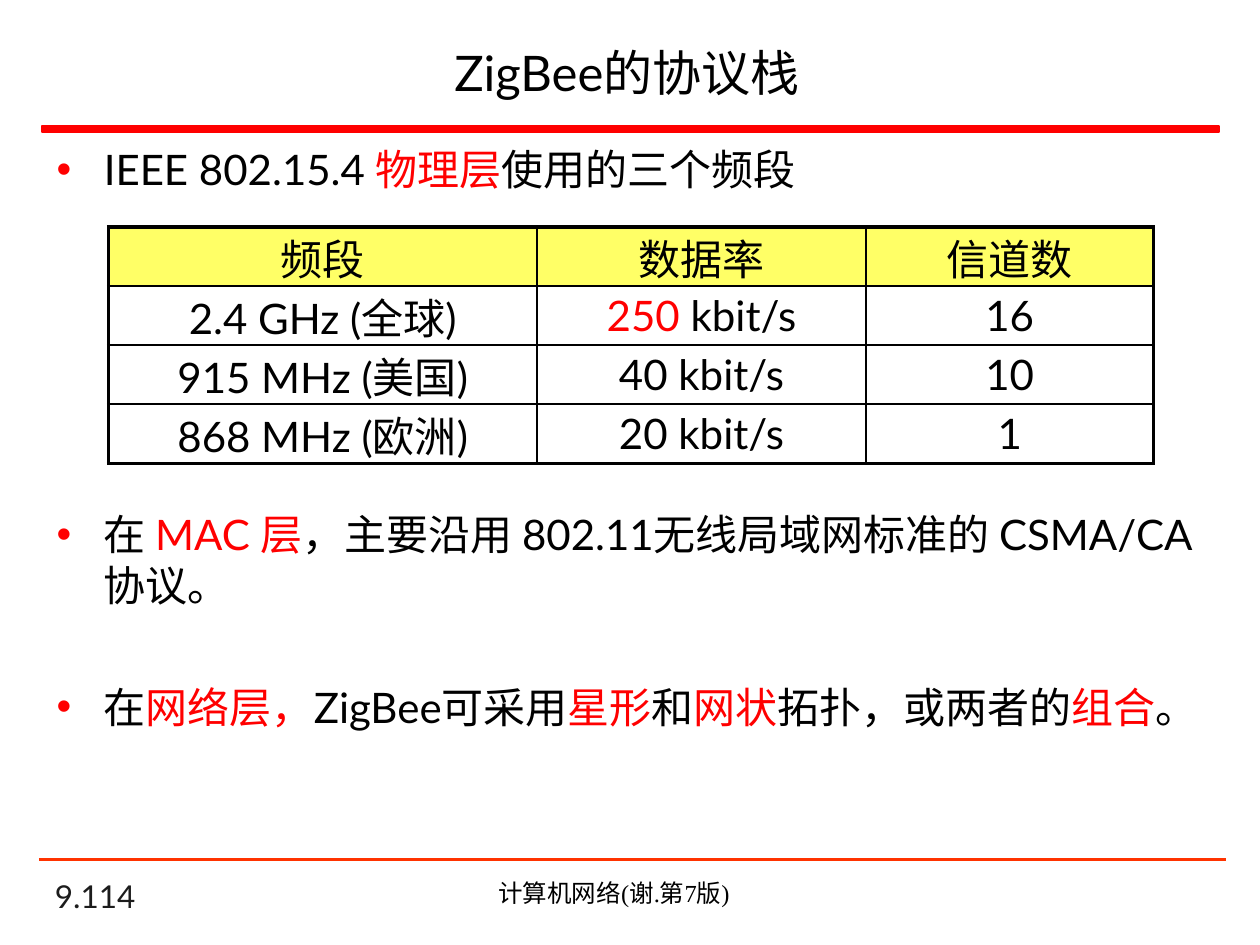
"""Build the slide on the ZigBee protocol stack."""
from dataclasses import dataclass

import pptx
import pptx.dml.color
import pptx.enum.shapes
import pptx.enum.text
import pptx.oxml
import pptx.oxml.ns
import pptx.util
from lxml import etree

Pt = pptx.util.Pt
RGB = pptx.dml.color.RGBColor.from_string
PP_ALIGN = pptx.enum.text.PP_ALIGN
ANCHOR = pptx.enum.text.MSO_ANCHOR
qn = pptx.oxml.ns.qn


@dataclass(frozen=True)
class Theme:
    """Colours, fonts and type sizes of the slide."""
    text: str = "000000"
    accent: str = "FF0000"
    rule: str = "FF3300"
    number: str = "1C1C1C"
    header: str = "FFFF66"
    font: str = "Lato"
    footer_font: str = "Times New Roman"
    title_size: int = 28
    body_size: int = 24
    number_size: int = 18
    footer_size: int = 14
    outer: float = 2.25
    inner: float = 1


THEME = Theme()

BULLETS = [
    (0, ["IEEE 802.15.4 ", ("物理层",), "使用的三个频段"]),
    (180, ["在 ", ("MAC 层",), "，主要沿用 802.11无线局域网标准的 CSMA/CA 协议。"]),
    (40.8, ["在", ("网络层，",), "ZigBee可采用", ("星形",), "和", ("网状",),
            "拓扑，或两者的", ("组合",), "。"]),
]

BANDS = [
    [["频段"], ["数据率"], ["信道数"]],
    [["2.4 GHz (全球)"], [("250 ",), "kbit/s"], ["16"]],
    [["915 MHz (美国)"], ["40 kbit/s"], ["10"]],
    [["868 MHz (欧洲)"], ["20 kbit/s"], ["1"]],
]


def write(p, parts, size=THEME.body_size, font=THEME.font, color=THEME.text,
          align=PP_ALIGN.LEFT, before=0):
    """Write runs into a paragraph; a part given as a tuple takes the accent colour."""
    p.alignment = align
    p.space_before = Pt(before)
    for part in parts:
        r = p.add_run()
        accented = isinstance(part, tuple)
        r.text = part[0] if accented else part
        r.font.size = Pt(size)
        r.font.name = font
        r.font.color.rgb = RGB(THEME.accent if accented else color)


def add_box(s, box, anchor=ANCHOR.TOP):
    """Add a wrapping text box and return its text frame."""
    tf = s.shapes.add_textbox(*map(Pt, box)).text_frame
    tf.word_wrap = True
    tf.vertical_anchor = anchor
    return tf


def add_header(s, box):
    """Place the title with the thick bar under it."""
    x, y, w, h = box
    tf = add_box(s, (x + 4, y, w - 6, h), ANCHOR.MIDDLE)
    write(tf.paragraphs[0], ["ZigBee的协议栈 "], size=THEME.title_size,
          align=PP_ALIGN.CENTER)
    sp = s.shapes.add_shape(pptx.enum.shapes.MSO_SHAPE.RECTANGLE,
                            Pt(x), Pt(y + h + 4.5), Pt(w), Pt(3.6))
    sp.shadow.inherit = False
    sp.fill.solid()
    sp.fill.fore_color.rgb = RGB(THEME.accent)
    sp.line.color.rgb = RGB(THEME.accent)
    sp.line.width = Pt(1)


def add_bullets(s, box):
    """Place the bulleted text."""
    tf = add_box(s, box)
    for i, (before, parts) in enumerate(BULLETS):
        p = tf.add_paragraph() if i else tf.paragraphs[0]
        write(p, parts, before=before)
        props = p._p.get_or_add_pPr()
        props.set("marL", str(Pt(27)))
        props.set("indent", str(-Pt(27)))
        color = etree.SubElement(props, qn("a:buClr"))
        etree.SubElement(color, qn("a:srgbClr"), val=THEME.accent)
        etree.SubElement(props, qn("a:buFont"), typeface="Arial")
        etree.SubElement(props, qn("a:buChar"), char="•")


def set_borders(cell, widths):
    """Draw the left, right, top and bottom borders of a cell before its fill."""
    props = cell._tc.get_or_add_tcPr()
    for i, (tag, width) in enumerate(zip(("a:lnL", "a:lnR", "a:lnT", "a:lnB"), widths)):
        ln = etree.Element(qn(tag), w=str(Pt(width)))
        fill = etree.SubElement(ln, qn("a:solidFill"))
        etree.SubElement(fill, qn("a:srgbClr"), val=THEME.text)
        props.insert(i, ln)


def add_band_table(s, box):
    """Place the table of frequency bands."""
    x, y, w, h = box
    rows, cols = len(BANDS), len(BANDS[0])
    table = s.shapes.add_table(rows, cols, Pt(x), Pt(y), Pt(w), Pt(h)).table
    for column, share in zip(table.columns, (0.41, 0.315, 0.275)):
        column.width = Pt(round(w * share, 1))
    for row in table.rows:
        row.height = Pt(h / rows)
    for i, line in enumerate(BANDS):
        for j, parts in enumerate(line):
            cell = table.cell(i, j)
            cell.margin_left = cell.margin_right = Pt(5)
            cell.margin_top = cell.margin_bottom = 0
            cell.vertical_anchor = ANCHOR.MIDDLE
            if i == 0:
                cell.fill.solid()
                cell.fill.fore_color.rgb = RGB(THEME.header)
            else:
                cell.fill.background()
            edges = (j == 0, j == cols - 1, i == 0, i == rows - 1)
            set_borders(cell, [THEME.outer if edge else THEME.inner for edge in edges])
            write(cell.text_frame.paragraphs[0], parts, align=PP_ALIGN.CENTER)


def add_footer(s, box):
    """Place the thin rule, the page number and the book title."""
    x, y, w, h = box
    rule = s.shapes.add_connector(pptx.enum.shapes.MSO_CONNECTOR.STRAIGHT,
                                  Pt(x), Pt(y), Pt(x + w), Pt(y))
    rule.line.color.rgb = RGB(THEME.rule)
    rule.line.width = Pt(1.5)
    etree.SubElement(rule._element.spPr, qn("a:effectLst"))
    tf = add_box(s, (x + 2, y + h - 24, 150, 24), ANCHOR.BOTTOM)
    write(tf.paragraphs[0], ["9.114"], size=THEME.number_size, color=THEME.number)
    tf = add_box(s, (x + 181.5, y + 7.2, 294, 24.5))
    write(tf.paragraphs[0], ["计算机网络(谢.第7版)"], size=THEME.footer_size,
          font=THEME.footer_font, align=PP_ALIGN.CENTER)


def main():
    """Build and save the slide."""
    prs = pptx.Presentation()
    prs.slide_width, prs.slide_height = Pt(720), Pt(540)
    s = prs.slides.add_slide(prs.slide_layouts[6])
    add_header(s, (24, 15, 672.5, 52.5))
    add_bullets(s, (25.2, 78.5, 669, 405))
    add_band_table(s, (62, 129.6, 597, 135.2))
    add_footer(s, (22.3, 491, 678, 35.3))
    prs.save("out.pptx")


if __name__ == "__main__":
    main()
